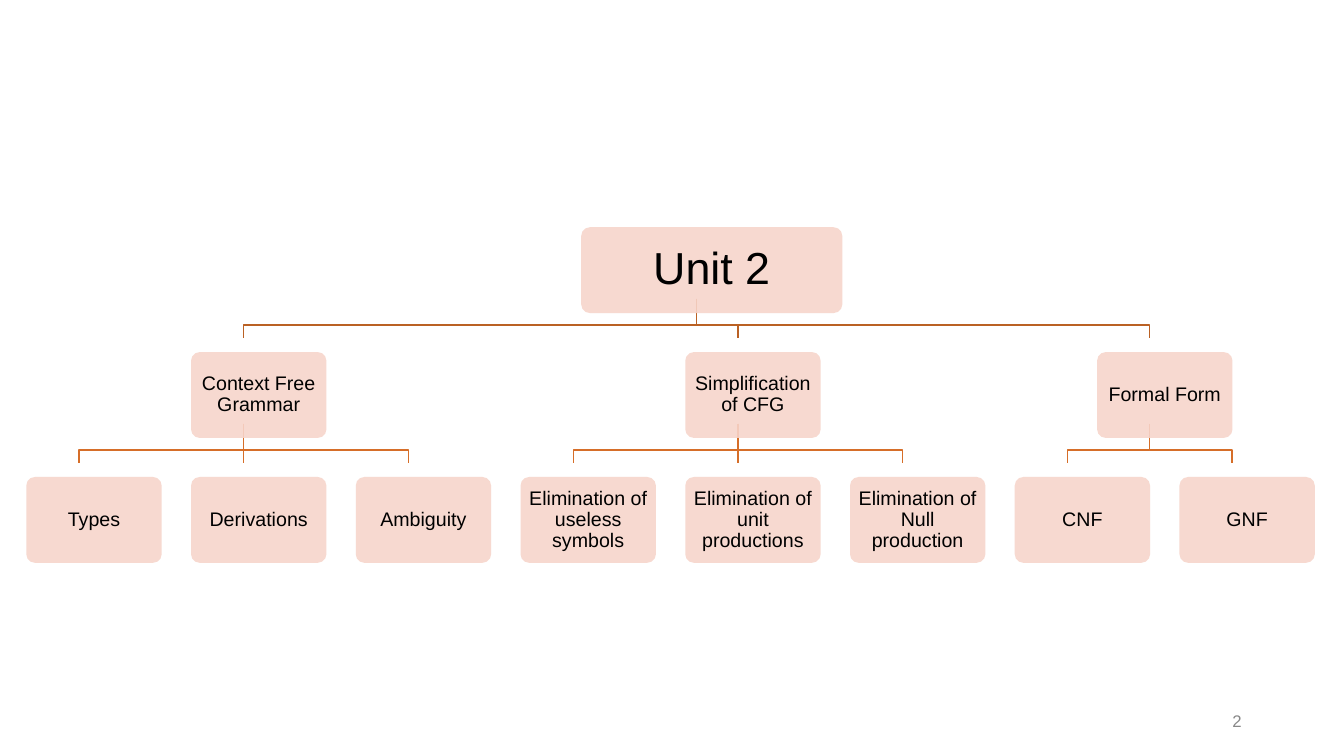
from dataclasses import dataclass

from lxml.etree import SubElement
from pptx import Presentation
from pptx.dml.color import RGBColor
from pptx.enum.shapes import MSO_CONNECTOR, MSO_SHAPE
from pptx.enum.text import MSO_ANCHOR, PP_ALIGN
from pptx.oxml.ns import qn
from pptx.slide import Slide
from pptx.text.text import TextFrame
from pptx.util import Pt

COLORS = {
    "card": "F7D5CB",
    "unit_branch": "BA6124",
    "topic_branch": "D66E29",
    "text": "000000",
    "page_number": "888888",
}
FONT = "Arial"

FIRST_LEFT, COLUMN_STEP = 18.8, 117.67
FIRST_TOP, ROW_STEP = 162.3, 89.2
CARD_WIDTH, CARD_HEIGHT = 96.7, 61.3
UNIT_WIDTH = 186.5
BRANCH_SHIFT_X, BRANCH_SHIFT_Y = 10.7, 10.2
BEND_DROP = 18.8

TOPICS = {
    "Context Free Grammar": ["Types", "Derivations", "Ambiguity"],
    "Simplification of CFG": [
        "Elimination of useless symbols",
        "Elimination of unit productions",
        "Elimination of Null production",
    ],
    "Formal Form": ["CNF", "GNF"],
}


@dataclass
class Card:
    label: str
    column: float
    row: int
    width: float = CARD_WIDTH
    size: float = 14
    inset: float = 4

    @property
    def center(self) -> float:
        return FIRST_LEFT + self.column * COLUMN_STEP + CARD_WIDTH / 2

    @property
    def top(self) -> float:
        return FIRST_TOP + self.row * ROW_STEP


@dataclass
class Branch:
    parent: Card
    child: Card
    color: str


def middle_column(children: list[Card]) -> float:
    return (children[0].column + children[-1].column) / 2


def plan_tree() -> tuple[list[Card], list[Branch]]:
    """Place the leaves side by side and center each parent over its children."""
    topics: list[Card] = []
    leaves: list[Card] = []
    branches: list[Branch] = []
    for topic_label, leaf_labels in TOPICS.items():
        children = [Card(label, column, 2)
                    for column, label in enumerate(leaf_labels, len(leaves))]
        topic = Card(topic_label, middle_column(children), 1)
        branches += [Branch(topic, child, "topic_branch") for child in children]
        topics.append(topic)
        leaves += children
    unit = Card("Unit 2", middle_column(topics), 0, UNIT_WIDTH, 32, 9)
    branches += [Branch(unit, topic, "unit_branch") for topic in topics]
    return [unit, *topics, *leaves], branches


def format_text(frame: TextFrame, text: str, size: float, color: str,
                align: PP_ALIGN, spacing: float = 1) -> None:
    frame.word_wrap = True
    frame.vertical_anchor = MSO_ANCHOR.MIDDLE
    frame.text = text
    paragraph = frame.paragraphs[0]
    paragraph.alignment = align
    paragraph.line_spacing = spacing
    font = paragraph.runs[0].font
    font.name = FONT
    font.size = Pt(size)
    font.color.rgb = RGBColor.from_string(COLORS[color])


def draw_branch(slide: Slide, branch: Branch) -> None:
    start_x = Pt(branch.parent.center - BRANCH_SHIFT_X)
    end_x = Pt(branch.child.center - BRANCH_SHIFT_X)
    parent_bottom = branch.parent.top + CARD_HEIGHT - BRANCH_SHIFT_Y
    start_y = Pt(parent_bottom)
    bend_y = Pt(parent_bottom + BEND_DROP)
    end_y = Pt(branch.child.top - BRANCH_SHIFT_Y)
    if start_x == end_x:
        line = slide.shapes.add_connector(
            MSO_CONNECTOR.STRAIGHT, start_x, start_y, end_x, end_y)
        SubElement(line._element.spPr, qn("a:effectLst"))
    else:
        builder = slide.shapes.build_freeform(start_x, start_y)
        builder.add_line_segments(
            [(start_x, bend_y), (end_x, bend_y), (end_x, end_y)], close=False)
        line = builder.convert_to_shape()
        line.fill.background()
        line.shadow.inherit = False
    line.line.width = Pt(1)
    line.line.color.rgb = RGBColor.from_string(COLORS[branch.color])


def draw_card(slide: Slide, card: Card) -> None:
    box = slide.shapes.add_shape(
        MSO_SHAPE.ROUNDED_RECTANGLE, Pt(card.center - card.width / 2),
        Pt(card.top), Pt(card.width), Pt(CARD_HEIGHT))
    box.adjustments[0] = 0.1
    box.shadow.inherit = False
    box.line.fill.background()
    box.fill.solid()
    box.fill.fore_color.rgb = RGBColor.from_string(COLORS["card"])
    fill_color = box._element.spPr.find(qn("a:solidFill")).find(qn("a:srgbClr"))
    SubElement(fill_color, qn("a:alpha"), val="89000")
    frame = box.text_frame
    frame.margin_left = frame.margin_right = Pt(card.inset)
    frame.margin_top = frame.margin_bottom = Pt(card.inset)
    format_text(frame, card.label, card.size, "text", PP_ALIGN.CENTER, 0.9)


def draw_page_number(slide: Slide) -> None:
    page_number = slide.shapes.add_textbox(Pt(678), Pt(500.5), Pt(216), Pt(28.8))
    format_text(page_number.text_frame, "2", 12, "page_number", PP_ALIGN.RIGHT)


def main() -> None:
    presentation = Presentation()
    presentation.slide_width = Pt(960)
    presentation.slide_height = Pt(540)
    slide = presentation.slides.add_slide(presentation.slide_layouts[6])
    cards, branches = plan_tree()
    for branch in branches:
        draw_branch(slide, branch)
    for card in cards:
        draw_card(slide, card)
    draw_page_number(slide)
    presentation.save("out.pptx")


if __name__ == "__main__":
    main()
